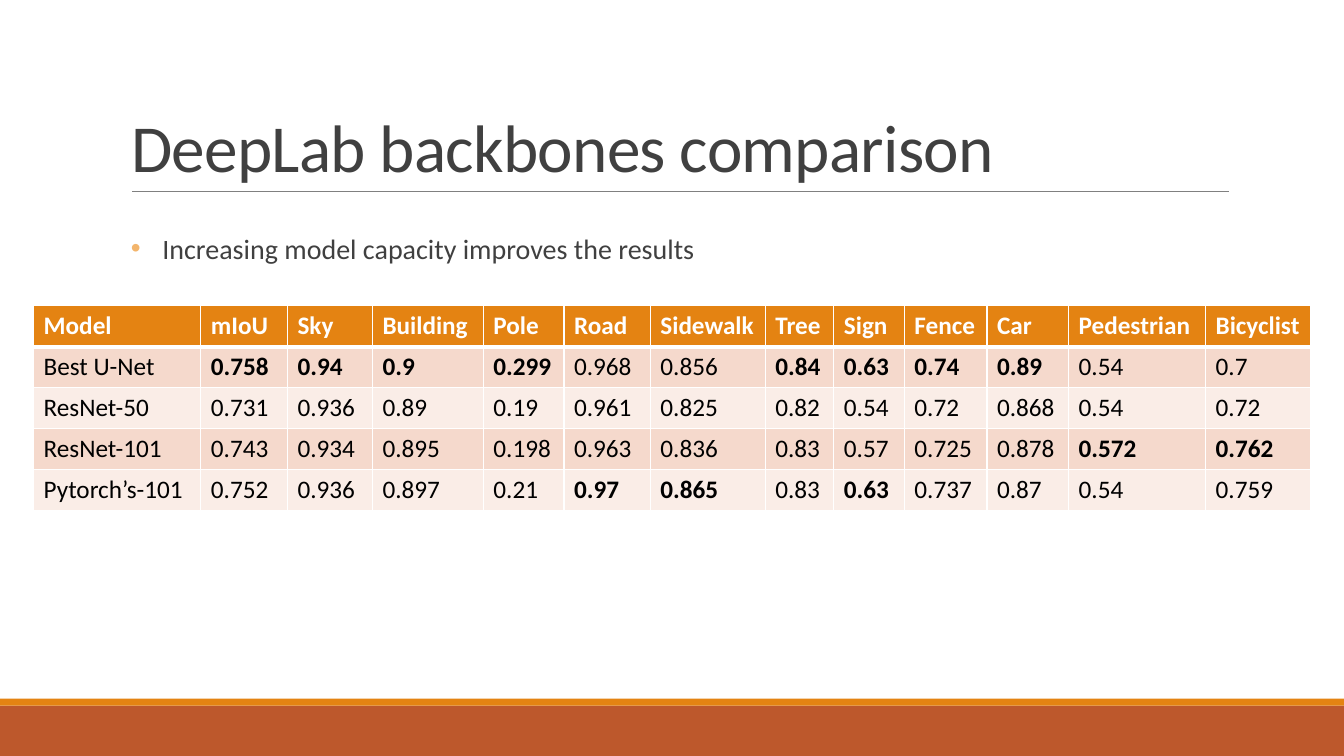
from lxml.etree import SubElement
from pptx import Presentation
from pptx.dml.color import RGBColor
from pptx.enum.shapes import MSO_CONNECTOR, MSO_SHAPE
from pptx.enum.text import MSO_ANCHOR, MSO_AUTO_SIZE, PP_ALIGN
from pptx.oxml.ns import qn
from pptx.util import Pt

FONT = "Calibri"
WHITE, BLACK, DARK_GREY, GREY = "FFFFFF", "000000", "404040", "808080"
ORANGE, RUST, BULLET = "E48312", "BD582C", "F3B56C"
BANDS = ("F5D9CC", "FAEDE7")
SLIDE_WIDTH, SLIDE_HEIGHT = 960, 540

COLUMNS = [
    ("Model", 119.5), ("mIoU", 61.9), ("Sky", 60.7), ("Building", 79.2),
    ("Pole", 57.6), ("Road", 61.7), ("Sidewalk", 82.1), ("Tree", 49),
    ("Sign", 50.4), ("Fence", 59), ("Car", 58.3), ("Pedestrian", 97.9),
    ("Bicyclist", 74.9),
]
SCORES = [
    ("Best U-Net", 0.758, 0.94, 0.9, 0.299, 0.968, 0.856, 0.84, 0.63, 0.74, 0.89, 0.54, 0.7),
    ("ResNet-50", 0.731, 0.936, 0.89, 0.19, 0.961, 0.825, 0.82, 0.54, 0.72, 0.868, 0.54, 0.72),
    ("ResNet-101", 0.743, 0.934, 0.895, 0.198, 0.963, 0.836, 0.83, 0.57, 0.725, 0.878, 0.572, 0.762),
    ("Pytorch’s-101", 0.752, 0.936, 0.897, 0.21, 0.97, 0.865, 0.83, 0.63, 0.737, 0.87, 0.54, 0.759),
]


def rgb(value):
    return RGBColor.from_string(value)


def add_run(paragraph, text, size, color, bold=False):
    run = paragraph.add_run()
    run.text = text
    run.font.name = FONT
    run.font.size = Pt(size)
    run.font.bold = bold
    run.font.color.rgb = rgb(color)
    return run


def add_footer_bands(slide, left, top, width, height):
    """A thin orange strip on top of a deep rust band."""
    strip = 5
    for color, y, depth in ((RUST, top + strip, height - strip), (ORANGE, top, strip)):
        band = slide.shapes.add_shape(
            MSO_SHAPE.RECTANGLE, Pt(left), Pt(y), Pt(width), Pt(depth))
        band.shadow.inherit = False
        band.fill.solid()
        band.fill.fore_color.rgb = rgb(color)
        band.line.fill.background()


def add_title(slide, left, top, width, height):
    """The heading at the foot of its box, underlined by a thin rule."""
    title = slide.shapes.title
    title.left, title.top, title.width, title.height = map(Pt, (left, top, width, height))
    frame = title.text_frame
    frame.auto_size = MSO_AUTO_SIZE.NONE
    frame.word_wrap = True
    frame.vertical_anchor = MSO_ANCHOR.BOTTOM
    heading = frame.paragraphs[0]
    heading.alignment = PP_ALIGN.LEFT
    heading.line_spacing = 0.85
    run = add_run(heading, "DeepLab backbones comparison", 48, DARK_GREY)
    run.font._element.set("spc", "-50")

    bottom = top + height
    rule = slide.shapes.add_connector(
        MSO_CONNECTOR.STRAIGHT, Pt(left + 8), Pt(bottom), Pt(left + width - 0.5), Pt(bottom))
    rule.line.color.rgb = rgb(GREY)
    rule.line.width = Pt(0.5)
    SubElement(rule._element.spPr, qn("a:effectLst"))


def add_takeaway(slide, left, top, width, height):
    frame = slide.shapes.add_textbox(Pt(left), Pt(top), Pt(width), Pt(height)).text_frame
    frame.word_wrap = True
    frame.auto_size = MSO_AUTO_SIZE.SHAPE_TO_FIT_TEXT
    takeaway = frame.paragraphs[0]
    properties = takeaway._p.get_or_add_pPr()
    properties.set("marL", str(Pt(22.5)))
    properties.set("indent", str(-Pt(22.5)))
    bullet_color = SubElement(properties, qn("a:buClr"))
    SubElement(bullet_color, qn("a:srgbClr"), val=BULLET)
    SubElement(properties, qn("a:buFont"), typeface="Arial")
    SubElement(properties, qn("a:buChar"), char="•")
    add_run(takeaway, "Increasing model capacity improves the results", 20, DARK_GREY)


def set_borders(cell, top, bottom):
    properties = cell._tc.get_or_add_tcPr()
    for side, weight in (("L", 1), ("R", 1), ("T", top), ("B", bottom)):
        border = SubElement(properties, qn(f"a:ln{side}"), w=str(Pt(weight)))
        fill = SubElement(border, qn("a:solidFill"))
        SubElement(fill, qn("a:srgbClr"), val=WHITE)


def fill_cell(cell, text, fill, color, bold, top=1, bottom=1):
    set_borders(cell, top, bottom)
    cell.fill.solid()
    cell.fill.fore_color.rgb = rgb(fill)
    add_run(cell.text_frame.paragraphs[0], text, 18, color, bold)


def add_score_table(slide, left, top, width, height):
    """Scores per model, with the best of each column in bold."""
    row_count = len(SCORES) + 1
    table = slide.shapes.add_table(
        row_count, len(COLUMNS), Pt(left), Pt(top), Pt(width), Pt(height)).table
    for row in table.rows:
        row.height = Pt(height / row_count)
    for c, (label, column_width) in enumerate(COLUMNS):
        table.columns[c].width = Pt(column_width)
        fill_cell(table.cell(0, c), label, ORANGE, WHITE, True, bottom=3)
        values = [scores[c] for scores in SCORES]
        for r, value in enumerate(values):
            best = c > 0 and value == max(values)
            fill_cell(table.cell(r + 1, c), str(value), BANDS[r % 2], BLACK, best,
                      top=3 if r == 0 else 1)


def main():
    deck = Presentation()
    deck.slide_width, deck.slide_height = Pt(SLIDE_WIDTH), Pt(SLIDE_HEIGHT)
    slide = deck.slides.add_slide(deck.slide_layouts[5])
    slide.background.fill.solid()
    slide.background.fill.fore_color.rgb = rgb(WHITE)
    add_footer_bands(slide, 0, 499, SLIDE_WIDTH, 41)
    add_title(slide, 86.4, 22.5, 792, 114.3)
    add_score_table(slide, 24, 218.4, sum(width for _, width in COLUMNS), 146)
    add_takeaway(slide, 86.4, 161.5, 590, 31.5)
    deck.save("out.pptx")


if __name__ == "__main__":
    main()
